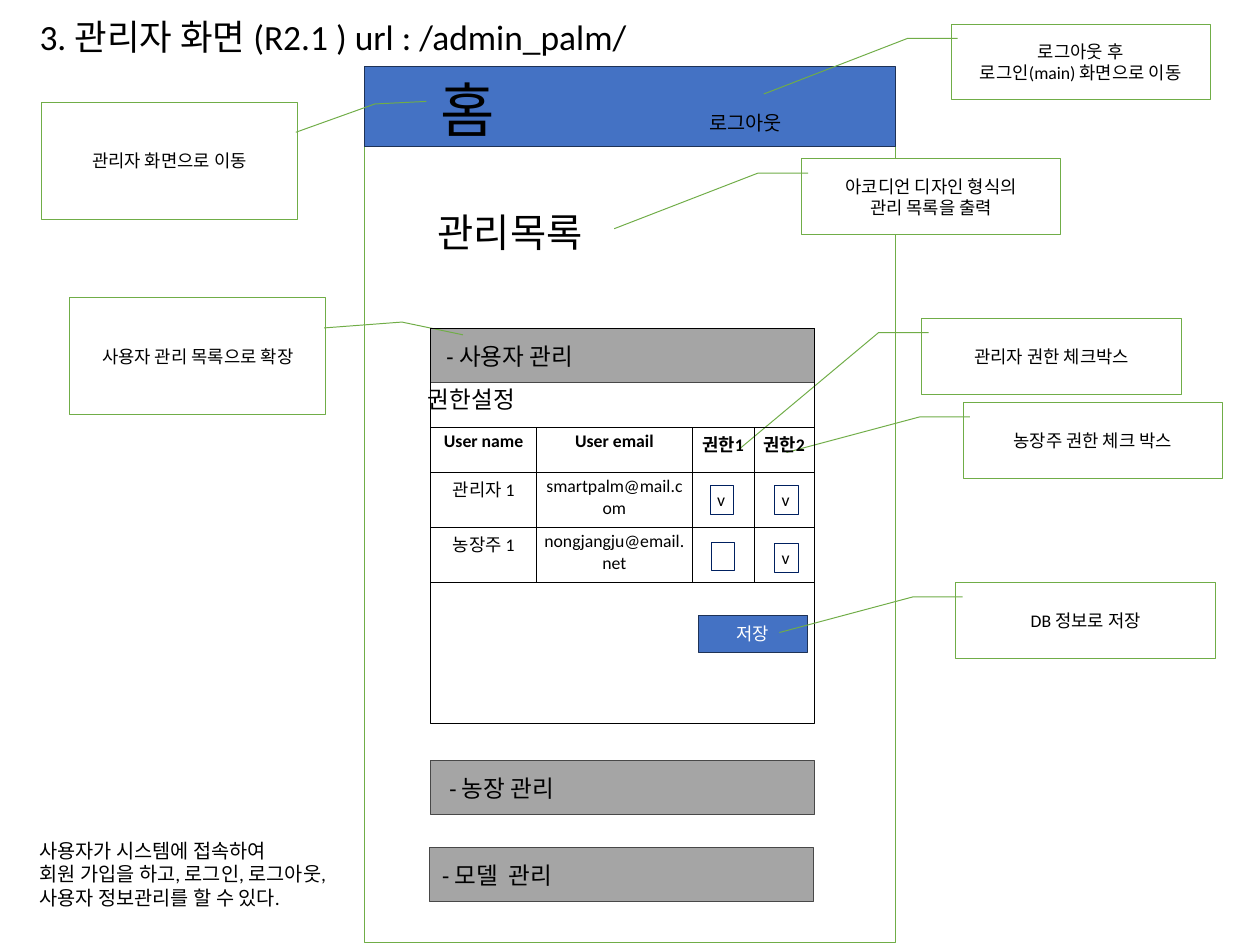
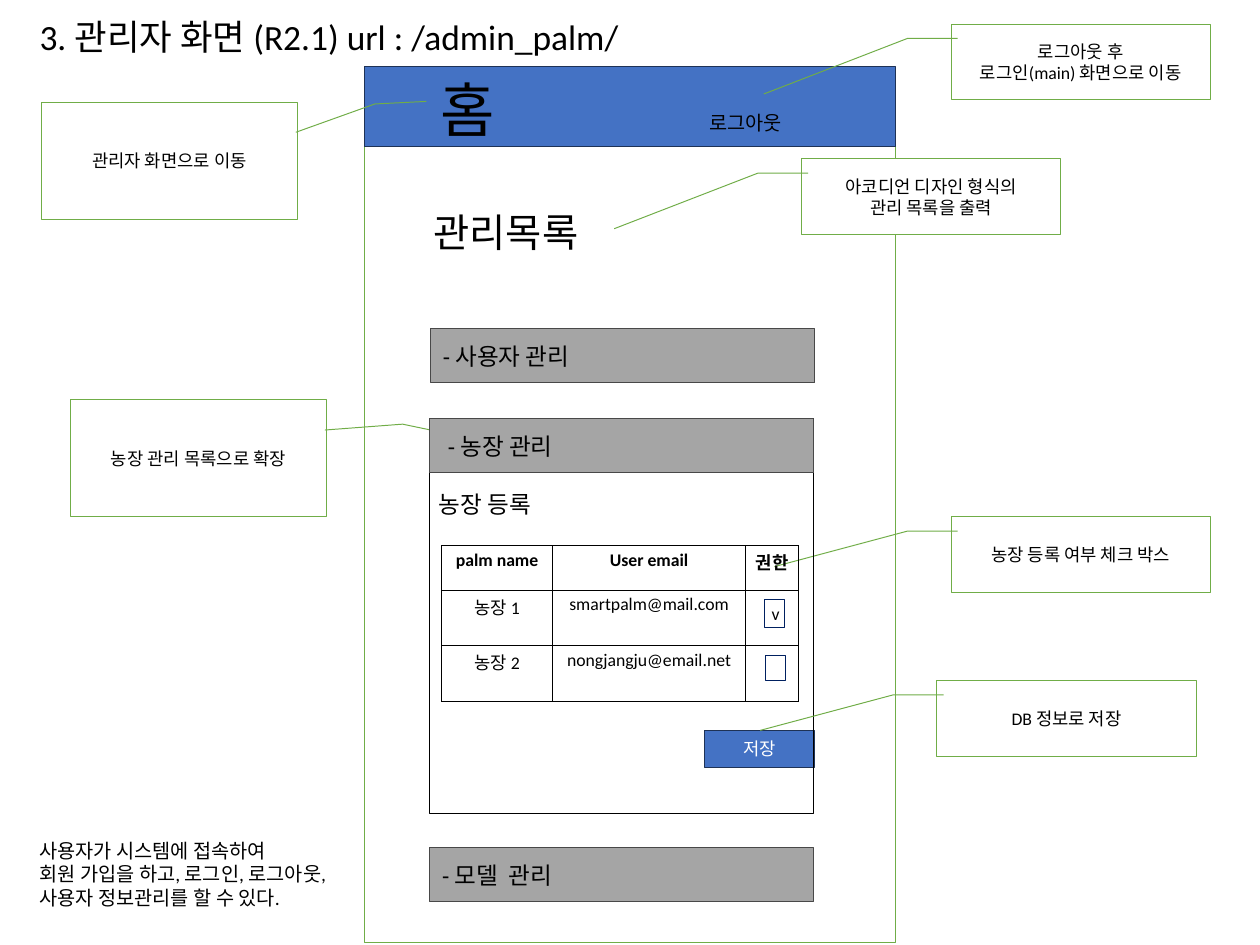
from lxml import etree
from pptx import Presentation
from pptx import util as u
from pptx.dml.color import RGBColor
from pptx.enum import shapes, text
from pptx.oxml.ns import qn

BLACK = RGBColor(0, 0, 0)
WHITE = RGBColor(255, 255, 255)
GREEN = RGBColor(0x70, 0xAD, 0x47)
BLUE = RGBColor(0x44, 0x72, 0xC4)
DARK_BLUE = RGBColor(0x1E, 0x32, 0x56)
NAVY = RGBColor(0x00, 0x20, 0x60)
GRAY = RGBColor(0xA5, 0xA5, 0xA5)
DARK_GRAY = RGBColor(0x48, 0x48, 0x48)
FONT = "Calibri"
LEFT, CENTER = text.PP_ALIGN.LEFT, text.PP_ALIGN.CENTER
TOP, MIDDLE = text.MSO_ANCHOR.TOP, text.MSO_ANCHOR.MIDDLE

BAR_SIZE = (5.42, 0.76)
FRAME_SIZE = (5.42, 5.56)
SAVE_SIZE = (1.55, 0.52)
SMALL, LARGE = (3.66, 1.07), (3.62, 1.65)

# Callout leaders: y, x of start, bend and end as shares of the box
TO_TOP = (0.188, 0.026, 0.188, -0.167, 0.922, -0.722)
TO_CHECK = (0.188, 0.026, 0.188, -0.167, 1.749, -0.713)
TO_PANEL = (0.188, 0.026, 0.188, -0.167, 0.657, -0.681)
TO_HOME = (0.258, 0.993, 0.016, 1.301, -0.006, 1.502)
TO_BAR = (0.258, 0.993, 0.208, 1.296, 0.317, 1.534)

SUMMARY = ["사용자가 시스템에 접속하여", "회원 가입을 하고, 로그인, 로그아웃,",
           "사용자 정보관리를 할 수 있다."]
SHARED_CALLOUTS = [
    (13.42, 0.34, SMALL, TO_TOP, ["로그아웃 후", "로그인(main) 화면으로 이동"]),
    (0.58, 1.44, LARGE, TO_HOME, ["관리자 화면으로 이동"]),
    (11.31, 2.24, SMALL, TO_TOP, ["아코디언 디자인 형식의", "관리 목록을 출력"]),
]
MODEL_BAR = (6.06, 11.96, 0.18, "- 모델  관리")

PAGES = [
    dict(
        title="3. 관리자 화면 (R2.1 ) url : /admin_palm/",
        heading=(6.08, 2.88),
        user_bar=(6.08, 4.64, 0.22, "- 사용자 관리"),
        callouts=[
            (13.01, 4.49, SMALL, TO_CHECK, ["관리자 권한 체크박스"]),
            (13.59, 5.68, SMALL, TO_PANEL, ["농장주 권한 체크 박스"]),
            (0.98, 4.2, LARGE, TO_BAR, ["사용자 관리 목록으로 확장"]),
        ],
        panel=(5.94, 5.38, "권한설정"),
        table_at=(6.08, 6.03),
        columns=[1.49, 2.2, 0.87, 0.85],
        rows=[["User name", "User email", "권한1", "권한2"],
              ["관리자 1", "smartpalm@mail.com", "", ""],
              ["농장주 1", "nongjangju@email.net", "", ""]],
        checks=[(10.02, 6.85, 0.33, 0.4, "v"), (10.93, 6.85, 0.33, 0.4, "v"),
                (10.04, 7.65, 0.33, 0.4, ""), (10.93, 7.67, 0.33, 0.4, "v")],
        save=(9.85, 8.68),
        frame=(6.08, 4.64),
        farm_bar=(6.08, 10.73, 0.26, "- 농장 관리"),
        save_callout=(13.49, 8.22),
    ),
    dict(
        title="3. 관리자 화면 (R2.1) url : /admin_palm/",
        heading=(6.02, 2.89),
        user_bar=(6.08, 4.64, 0.17, "- 사용자 관리"),
        callouts=[
            (13.42, 7.29, SMALL, TO_PANEL, ["농장 등록 여부 체크 박스"]),
            (0.99, 5.64, LARGE, TO_BAR, ["농장 관리 목록으로 확장"]),
        ],
        panel=(6.09, 6.86, "농장 등록"),
        table_at=(6.23, 7.7),
        columns=[1.57, 2.72, 0.75],
        rows=[["palm name", "User email", "권한"],
              ["농장 1", "smartpalm@mail.com", ""],
              ["농장 2", "nongjangju@email.net", ""]],
        checks=[(10.79, 8.45, 0.28, 0.4, "v"), (10.8, 9.25, 0.28, 0.35, "")],
        save=(9.94, 10.3),
        frame=(6.06, 5.91),
        farm_bar=(6.06, 5.91, 0.26, "- 농장 관리"),
        save_callout=(13.22, 9.6),
    ),
]


def write(tf, lines, size, align=LEFT, color=BLACK, bold=False):
    """Fill a text frame with one paragraph per line."""
    for i, line in enumerate(lines):
        p = tf.add_paragraph() if i else tf.paragraphs[0]
        p.text = line
        p.alignment = align
        p.font.name, p.font.size = FONT, u.Pt(size)
        p.font.color.rgb, p.font.bold = color, bold


def label(s, at, lines, size, align=LEFT, anchor=TOP):
    """Add a wrapping text box."""
    tf = s.shapes.add_textbox(*map(u.Inches, at)).text_frame
    tf.word_wrap = True
    tf.vertical_anchor = anchor
    write(tf, lines, size, align)


def box(s, at, fill, line, width=1, kind=shapes.MSO_SHAPE.RECTANGLE):
    """Add a flat outlined shape; a fill of None leaves it open."""
    sp = s.shapes.add_shape(kind, *map(u.Inches, at))
    sp.shadow.inherit = False
    if fill is None:
        sp.fill.background()
    else:
        sp.fill.solid()
        sp.fill.fore_color.rgb = fill
    sp.line.color.rgb = line
    sp.line.width = u.Pt(width)
    sp.text_frame.vertical_anchor = MIDDLE
    return sp


def bar(s, left, top, inset, caption):
    """Add a gray accordion bar."""
    tf = box(s, (left, top, *BAR_SIZE), GRAY, DARK_GRAY).text_frame
    tf.margin_left = u.Inches(inset)
    write(tf, [caption], 24)


def callout(s, left, top, size, leader, lines):
    """Add a note with a bent leader line."""
    sp = box(s, (left, top, *size), WHITE, GREEN,
             kind=shapes.MSO_SHAPE.LINE_CALLOUT_2)
    for i, value in enumerate(leader):
        sp.adjustments[i] = value
    write(sp.text_frame, lines, 18, CENTER)


def border(cell):
    """Give a cell thin black edges."""
    tc_pr = cell._tc.get_or_add_tcPr()
    for edge in ("a:lnL", "a:lnR", "a:lnT", "a:lnB"):
        ln = etree.SubElement(tc_pr, qn(edge), w=str(u.Pt(1)))
        fill = etree.SubElement(ln, qn("a:solidFill"))
        etree.SubElement(fill, qn("a:srgbClr"), val=str(BLACK))


def grid(s, at, columns, rows):
    """Add the rights table with a bold header row."""
    heights = [0.63, 0.78, 0.78]
    size = (sum(columns), sum(heights))
    table = s.shapes.add_table(len(rows), len(columns),
                               *map(u.Inches, (*at, *size))).table
    table.first_row = table.horz_banding = False
    for column, width in zip(table.columns, columns):
        column.width = u.Inches(width)
    for r, (height, row) in enumerate(zip(heights, rows)):
        table.rows[r].height = u.Inches(height)
        for c, value in enumerate(row):
            cell = table.cell(r, c)
            border(cell)
            cell.fill.background()
            write(cell.text_frame, [value], 18, CENTER, bold=r == 0)


def base(s, page):
    """Draw the screen outline, header band, title and summary."""
    box(s, (5.14, 1, 7.5, 12.3), WHITE, GREEN)
    bar(s, *page["user_bar"])
    box(s, (5.14, 0.94, 7.5, 1.13), BLUE, DARK_BLUE)
    label(s, (6.1, 1, 1, 1.07), ["홈"], 60, CENTER, MIDDLE)
    label(s, (9.7, 1.5, 1.64, 0.46), ["로그아웃"], 20, CENTER, MIDDLE)
    label(s, (0.46, 0.16, 11.1, 0.71), [page["title"]], 36)
    label(s, (0.46, 11.78, 4.68, 1.11), SUMMARY, 20)
    label(s, (*page["heading"], 5.62, 0.75), ["관리목록"], 40)


def panel(s, page):
    """Draw the opened accordion section."""
    left, top, caption = page["panel"]
    label(s, (left, top, 5.3, 0.5), [caption], 24, anchor=MIDDLE)
    grid(s, page["table_at"], page["columns"], page["rows"])
    for *at, mark in page["checks"]:
        check = box(s, at, None, NAVY, 0.75)
        if mark:
            write(check.text_frame, [mark], 18)
    save = box(s, (*page["save"], *SAVE_SIZE), BLUE, DARK_BLUE)
    write(save.text_frame, ["저장"], 18, CENTER, WHITE)
    box(s, (*page["frame"], *FRAME_SIZE), None, BLACK)


prs = Presentation()
prs.slide_width, prs.slide_height = u.Inches(17.78), u.Inches(13.33)
for page in PAGES:
    s = prs.slides.add_slide(prs.slide_layouts[6])
    base(s, page)
    for note in SHARED_CALLOUTS + page["callouts"]:
        callout(s, *note)
    panel(s, page)
    bar(s, *page["farm_bar"])
    bar(s, *MODEL_BAR)
    callout(s, *page["save_callout"], SMALL, TO_PANEL, ["DB 정보로 저장"])
prs.save("out.pptx")
